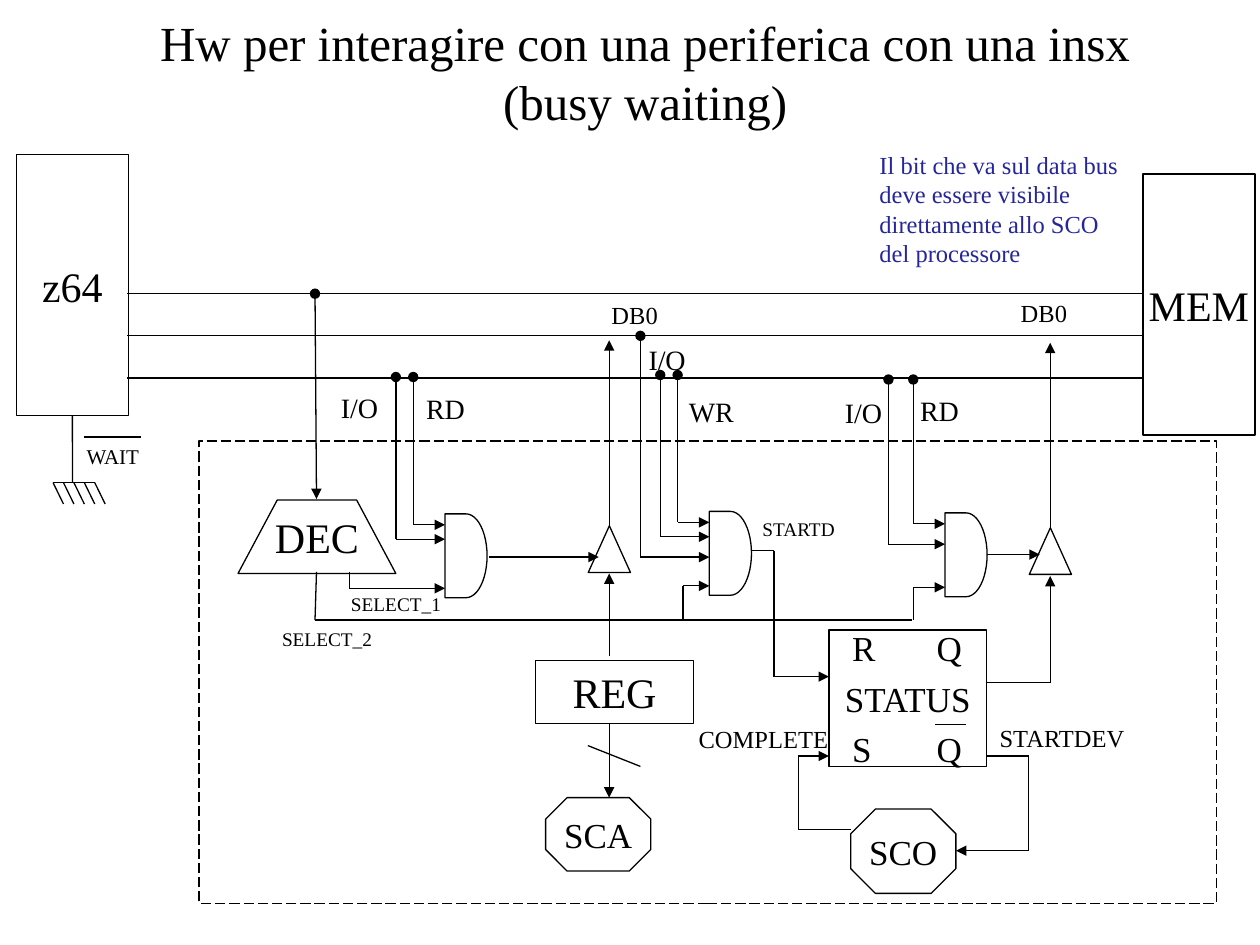
from itertools import pairwise

from lxml.etree import SubElement
from pptx import Presentation
from pptx.dml.color import RGBColor
from pptx.enum.dml import MSO_LINE
from pptx.enum.shapes import MSO_CONNECTOR, MSO_SHAPE
from pptx.enum.text import MSO_ANCHOR, MSO_AUTO_SIZE, PP_ALIGN
from pptx.oxml.ns import qn
from pptx.util import Cm, Pt

FONT = "Times New Roman"
BLACK = "000000"
BLUE = "262699"
SELECT_Y = 12.5


def paint(color_format, color):
    """Set a colour from a hex string."""
    color_format.rgb = RGBColor.from_string(color)


def write(frame, words, size=24, color=BLACK, align=PP_ALIGN.CENTER,
          anchor=MSO_ANCHOR.MIDDLE, wrap=False, tab=None):
    """Fill a text frame with formatted words."""
    frame.text = words
    frame.word_wrap = wrap
    frame.auto_size = MSO_AUTO_SIZE.NONE
    frame.vertical_anchor = anchor
    for paragraph in frame.paragraphs:
        paragraph.alignment = align
        for run in paragraph.runs:
            run.font.name = FONT
            run.font.size = Pt(size)
            paint(run.font.color, color)
        if tab:
            stops = SubElement(paragraph._p.get_or_add_pPr(), qn("a:tabLst"))
            SubElement(stops, qn("a:tab"), pos=str(Cm(tab)), algn="l")


def add_label(slide, words, left, top, width, height, size, **text_format):
    """Add a text box whose text starts at its top."""
    box = slide.shapes.add_textbox(Cm(left), Cm(top), Cm(width), Cm(height))
    write(box.text_frame, words, size, anchor=MSO_ANCHOR.TOP, **text_format)


def outline(shape):
    """Give a shape a thin black outline and no fill."""
    shape.shadow.inherit = False
    shape.fill.background()
    shape.line.width = Pt(0.75)
    paint(shape.line.color, BLACK)


def add_block(slide, kind, left, top, width, height, words="", size=24):
    """Add an outlined preset shape with an optional name in it."""
    block = slide.shapes.add_shape(kind, Cm(left), Cm(top), Cm(width), Cm(height))
    outline(block)
    if words:
        write(block.text_frame, words, size)
    return block


def add_decoder(slide):
    """Draw the decoder as a named trapezoid."""
    corners = [(4.8, 11.56), (5.59, 10.08), (7.19, 10.08), (7.98, 11.56)]
    start, *others = [(Cm(x), Cm(y)) for x, y in corners]
    builder = slide.shapes.build_freeform(*start)
    builder.add_line_segments(others, close=True)
    decoder = builder.convert_to_shape()
    outline(decoder)
    write(decoder.text_frame, "DEC")


def add_wire(slide, *points, dot=False, arrow=False):
    """Join points with straight segments, a dot first and an arrow last."""
    segments = []
    for (x1, y1), (x2, y2) in pairwise(points):
        segment = slide.shapes.add_connector(
            MSO_CONNECTOR.STRAIGHT, Cm(x1), Cm(y1), Cm(x2), Cm(y2))
        segment.line.width = Pt(0.75)
        paint(segment.line.color, BLACK)
        SubElement(segment._element.spPr, qn("a:effectLst"))
        segments.append(segment)
    if dot:
        SubElement(segments[0].line._get_or_add_ln(), qn("a:headEnd"), type="oval")
    if arrow:
        SubElement(segments[-1].line._get_or_add_ln(), qn("a:tailEnd"), type="triangle")
    return segments


def add_gate(slide, left, top, tap_y, select_from, far=(0.99, 0.51)):
    """Draw an AND gate with two bus inputs and a select input."""
    add_block(slide, MSO_SHAPE.FLOWCHART_DELAY, left, top, 0.85, 1.69)
    for gap, drop in [(0.64, 0.22), far]:
        x, y = left - gap, top + drop
        add_wire(slide, (x, tap_y), (x, y), (left, y), dot=True, arrow=True)
    select_y = top + 1.5
    add_wire(slide, select_from, (select_from[0], select_y), (left, select_y), arrow=True)


def add_buffer(slide, left, top, bus_y):
    """Draw a tri-state buffer that drives the data bus."""
    add_block(slide, MSO_SHAPE.ISOSCELES_TRIANGLE, left, top, 0.85, 0.94)
    middle = left + 0.42
    add_wire(slide, (middle, top), (middle, bus_y), arrow=True)


def add_ground(slide, processor):
    """Tie the processor's wait line to ground."""
    ground_y = 9.73
    wait_line, = add_wire(slide, (1.46, 8.38), (1.46, ground_y))
    wait_line.begin_connect(processor, 2)
    add_wire(slide, (1.07, ground_y), (1.91, ground_y))
    for step in range(5):
        x = 1.07 + 0.21 * step
        add_wire(slide, (x, ground_y), (x + 0.21, 10.16))
    add_label(slide, "WAIT", 1.07, 8.81, 2.41, 0.76, 12)
    add_wire(slide, (1.7, 8.81), (2.84, 8.81))


def add_processor_and_memory(slide):
    """Draw the processor, the memory and the three buses between them."""
    processor = add_block(slide, MSO_SHAPE.RECTANGLE, 0.33, 3.12, 2.26, 5.26, "z64")
    add_block(slide, MSO_SHAPE.RECTANGLE, 23.04, 3.51, 2.26, 5.26, "MEM")
    for bus_y in (5.92, 6.77, 7.62):
        add_wire(slide, (2.57, bus_y), (23.02, bus_y))
    add_ground(slide, processor)


def add_interface_logic(slide):
    """Draw the decoder, the gates and the buffers."""
    add_decoder(slide)
    add_wire(slide, (6.35, 5.92), (6.38, 10.06), dot=True, arrow=True)
    add_wire(slide, (6.38, 11.53), (6.35, SELECT_Y), (18.39, SELECT_Y))
    add_gate(slide, 8.97, 10.36, 7.6, (7.04, 11.53))
    add_gate(slide, 14.3, 10.31, 7.56, (13.77, SELECT_Y))
    add_gate(slide, 19.05, 10.34, 7.65, (18.41, SELECT_Y), far=(1.14, 0.63))
    add_wire(slide, (12.91, 6.77), (12.91, 11.23), (14.3, 11.23), dot=True, arrow=True)
    add_buffer(slide, 11.86, 10.6, 6.86)
    add_buffer(slide, 20.75, 10.64, 6.91)
    add_wire(slide, (9.86, 11.23), (12.07, 11.23), arrow=True)
    add_wire(slide, (19.89, 11.18), (20.96, 11.18), arrow=True)


def add_device(slide):
    """Draw the register, the status flip-flop and the device units."""
    add_block(slide, MSO_SHAPE.RECTANGLE, 10.8, 13.31, 3.18, 1.27, "REG")
    add_block(slide, MSO_SHAPE.RECTANGLE, 16.71, 12.7, 3.18, 2.75)
    for name, left, top, height in [("SCA", 11, 16.08, 1.48), ("SCO", 17.15, 16.31, 1.7)]:
        unit = add_block(slide, MSO_SHAPE.OCTAGON, left, top, 2.12, height, name, 20)
        unit.adjustments[0] = 0.293
    add_wire(slide, (12.28, 13.23), (12.28, 11.56), arrow=True)
    add_wire(slide, (12.28, 14.6), (12.28, 16.08), arrow=True)
    add_wire(slide, (11.85, 15.03), (12.91, 15.45))
    add_wire(slide, (15.16, 11.1), (15.6, 11.1), (15.6, 13.64), (16.71, 13.64), arrow=True)
    add_wire(slide, (19.89, 13.76), (21.17, 13.76), (21.17, 11.61), arrow=True)
    add_wire(slide, (17.15, 16.72), (16.09, 16.72), (16.09, 15.24), (16.71, 15.24), arrow=True)
    add_wire(slide, (19.89, 15.24), (20.74, 15.24), (20.74, 17.15), (19.27, 17.15), arrow=True)
    for pins, top in [("R\tQ", 12.5), ("S\tQ", 14.55)]:
        add_label(slide, pins, 16.93, top, 2.75, 1.12, 20,
                  align=PP_ALIGN.LEFT, wrap=True, tab=1.7)
    add_wire(slide, (18.85, 14.6), (19.48, 14.6))
    add_label(slide, "STATUS", 16.71, 13.54, 3.18, 1.12, 20)


def add_signal_names(slide):
    """Name the signals beside their wires."""
    signals = [
        ("I/O", 6.63, 7.75, 1.24, 16), ("RD", 8.33, 7.77, 1.3, 16),
        ("I/O", 12.83, 6.78, 1.24, 16), ("WR", 13.64, 7.82, 1.4, 16),
        ("I/O", 16.79, 7.85, 1.24, 16), ("RD", 18.29, 7.8, 1.3, 16),
        ("DB0", 12.07, 5.92, 1.45, 14), ("DB0", 20.32, 5.89, 1.45, 14),
        ("COMPLETE", 13.56, 14.48, 3.66, 14), ("STARTDEV", 19.86, 14.45, 3.1, 14),
        ("STARTD", 15.06, 10.31, 2.08, 11),
        ("SELECT_1", 6.83, 11.81, 2.31, 11), ("SELECT_2", 5.44, 12.52, 2.31, 11),
    ]
    for name, left, top, width, size in signals:
        add_label(slide, name, left, top, width, 0.86, size)


def main():
    """Build the slide and save it."""
    deck = Presentation()
    deck.slide_width, deck.slide_height = Cm(25.4), Cm(19.05)
    slide = deck.slides.add_slide(deck.slide_layouts[5])
    title = slide.shapes.title
    title.left, title.top, title.width, title.height = Cm(2.21), Cm(-0.15), Cm(21.59), Cm(3.18)
    write(title.text_frame,
          "Hw per interagire con una periferica con una insx\v(busy waiting)",
          size=28, wrap=True)
    interface = add_block(slide, MSO_SHAPE.RECTANGLE, 4.01, 8.89, 20.52, 9.32)
    interface.line.dash_style = MSO_LINE.LONG_DASH
    add_processor_and_memory(slide)
    add_interface_logic(slide)
    add_device(slide)
    add_signal_names(slide)
    add_label(slide, "Il bit che va sul data bus\ndeve essere visibile\n"
              "direttamente allo SCO\ndel processore",
              17.48, 2.9, 5.44, 2.64, 14, color=BLUE, align=PP_ALIGN.LEFT)
    deck.save("out.pptx")


if __name__ == "__main__":
    main()
